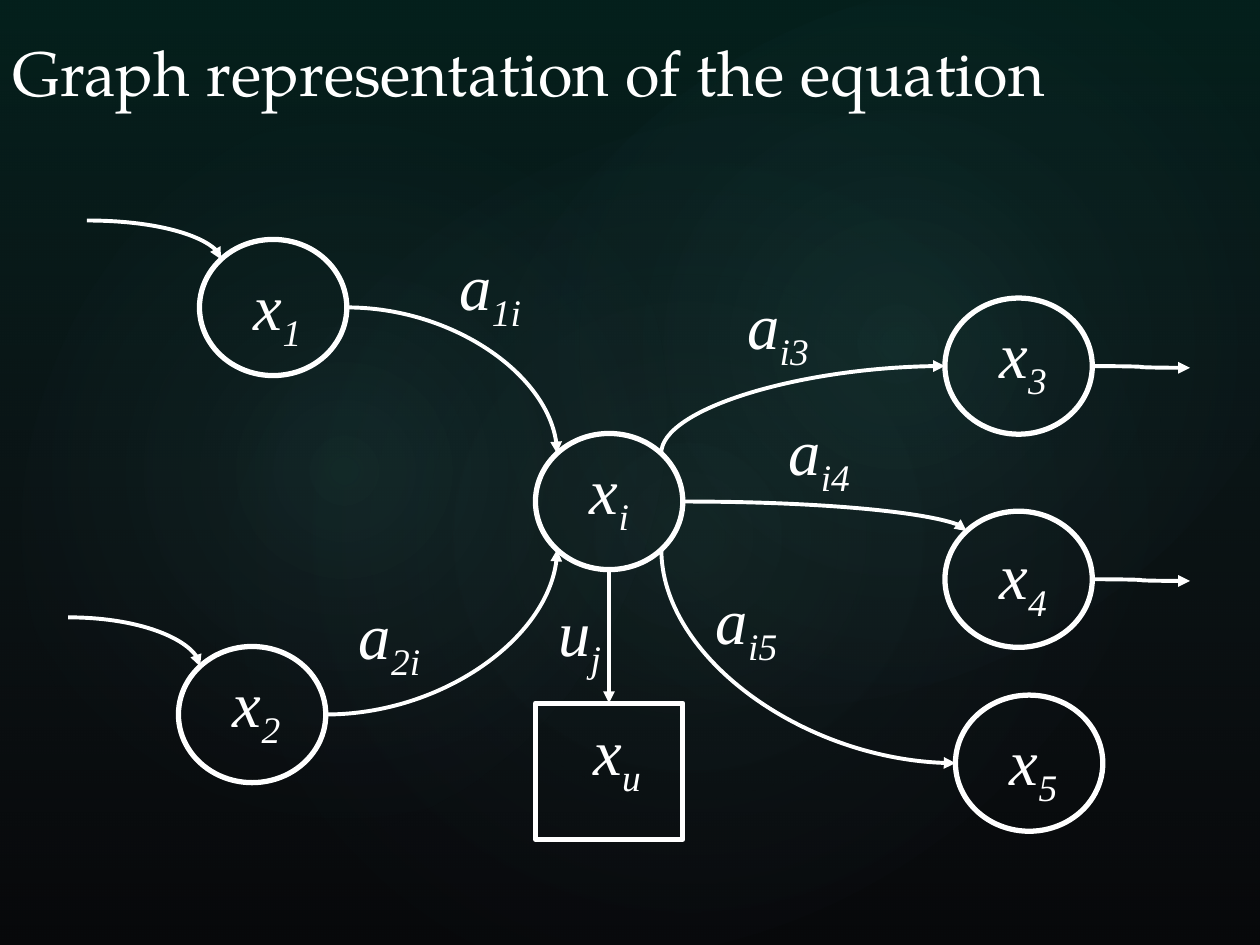
from dataclasses import dataclass
from math import sqrt

from lxml.etree import SubElement
from pptx import Presentation
from pptx.dml.color import RGBColor
from pptx.enum.shapes import MSO_CONNECTOR, MSO_SHAPE
from pptx.enum.text import MSO_ANCHOR, MSO_AUTO_SIZE
from pptx.oxml import parse_xml
from pptx.oxml.ns import nsdecls, qn
from pptx.util import Pt

COLORS = {"back": "000000", "ink": "FFFFFF", "teal": "0D5A4F", "slate": "4E5B6F", "glow": "5FE8D6"}
TITLE_FONT = "TeX Gyre Pagella"
MATH_FONT = "Times New Roman"
WIDE, HIGH = 84.2, 77.8
DIAG = sqrt(0.5)


@dataclass
class Glow:
    left: float
    top: float
    width: float
    height: float
    turn: float
    alpha: int


@dataclass
class Label:
    base: str
    sub: str
    left: float
    top: float
    width: float


@dataclass
class Node:
    left: float
    top: float
    label: Label
    kind: MSO_SHAPE = MSO_SHAPE.OVAL

    def port(self, across: float, down: float) -> tuple[float, float]:
        return self.left + WIDE * (1 + across) / 2, self.top + HIGH * (1 + down) / 2


@dataclass
class Arrow:
    start: tuple[float, float]
    end: tuple[float, float]
    upright: bool = False
    bend: bool = True


def rgb(name: str) -> RGBColor:
    return RGBColor.from_string(COLORS[name])


def add_grad(shape, stops: list, way: str) -> None:
    marks = "".join(
        f'<a:gs pos="{pos * 1000}"><a:srgbClr val="{COLORS[name]}">'
        f'<a:alpha val="{alpha * 1000}"/></a:srgbClr></a:gs>'
        for pos, name, alpha in stops
    )
    grad = parse_xml(f'<a:gradFill {nsdecls("a")} rotWithShape="1"><a:gsLst>{marks}</a:gsLst>{way}</a:gradFill>')
    shape.fill.background()
    blank = shape._element.spPr.find(qn("a:noFill"))
    blank.getparent().replace(blank, grad)
    shape.line.fill.background()
    shape.shadow.inherit = False


def add_back(slide, glows: list[Glow]) -> None:
    slide.background.fill.solid()
    slide.background.fill.fore_color.rgb = rgb("back")
    veil = slide.shapes.add_shape(MSO_SHAPE.RECTANGLE, 0, 0, Pt(720), Pt(540))
    add_grad(veil, [(0, "teal", 36), (100, "slate", 10)], '<a:lin ang="5400000" scaled="0"/>')
    round_way = '<a:path path="circle"><a:fillToRect l="50000" t="50000" r="50000" b="50000"/></a:path>'
    for glow in glows:
        disc = slide.shapes.add_shape(
            MSO_SHAPE.OVAL, Pt(glow.left), Pt(glow.top), Pt(glow.width), Pt(glow.height))
        disc.rotation = glow.turn
        add_grad(disc, [(0, "glow", glow.alpha), (58, "slate", 0), (100, "slate", 0)], round_way)


def add_title(slide, text: str) -> None:
    box = slide.shapes.add_textbox(0, Pt(8.6), Pt(680), Pt(57.6))
    frame = box.text_frame
    frame.word_wrap = True
    frame.vertical_anchor = MSO_ANCHOR.BOTTOM
    frame.text = text
    font = frame.paragraphs[0].runs[0].font
    font.name, font.size = TITLE_FONT, Pt(36)
    font.color.rgb = rgb("ink")


def add_label(slide, label: Label) -> None:
    box = slide.shapes.add_textbox(Pt(label.left), Pt(label.top), Pt(label.width), Pt(51.8))
    frame = box.text_frame
    frame.word_wrap = False
    frame.auto_size = MSO_AUTO_SIZE.SHAPE_TO_FIT_TEXT
    frame.text = label.base
    para = frame.paragraphs[0]
    para.add_run().text = label.sub
    for run in para.runs:
        run.font.name, run.font.size = MATH_FONT, Pt(36.9)
        run.font.italic = True
        run.font.color.rgb = rgb("ink")
    para.runs[1]._r.get_or_add_rPr().set("baseline", "-25000")


def add_node(slide, node: Node) -> None:
    shape = slide.shapes.add_shape(node.kind, Pt(node.left), Pt(node.top), Pt(WIDE), Pt(HIGH))
    shape.fill.background()
    shape.line.color.rgb = rgb("ink")
    shape.line.width = Pt(3)
    shape.shadow.inherit = False
    add_label(slide, node.label)


def add_arrow(slide, arrow: Arrow) -> None:
    (x1, y1), (x2, y2) = arrow.start, arrow.end
    down = y2 > y1
    if arrow.upright:
        mid_x, mid_y = (x1 + x2) / 2, (y1 + y2) / 2
        half_w = abs(y2 - y1) / 2
        half_h = (x2 - x1) / 2 * (1 if down else -1)
        x1, y1, x2, y2 = mid_x + half_w, mid_y - half_h, mid_x - half_w, mid_y + half_h
    line = slide.shapes.add_connector(MSO_CONNECTOR.CURVE, Pt(x1), Pt(y1), Pt(x2), Pt(y2))
    line.line.color.rgb = rgb("ink")
    line.line.width = Pt(2.25)
    props = line._element.spPr
    if arrow.upright:
        props.find(qn("a:xfrm")).set("rot", "16200000" if down else "5400000")
    if arrow.bend:
        props.find(qn("a:prstGeom")).set("prst", "curvedConnector2")
    SubElement(props.find(qn("a:ln")), qn("a:tailEnd"), type="triangle")
    SubElement(props, qn("a:effectLst"))


def main() -> None:
    deck = Presentation()
    deck.slide_width, deck.slide_height = Pt(720), Pt(540)
    slide = deck.slides.add_slide(deck.slide_layouts[6])

    add_back(slide, [
        Glow(108, 82, 570.2, 449.3, 328.7, 7),
        Glow(-21.6, 92.2, 436.3, 352.8, 294.3, 8),
        Glow(257.8, 9.4, 510.5, 374.4, 328.7, 8),
    ])
    add_title(slide, "Graph representation of the equation")

    one = Node(114, 136.8, Label("x", "1", 138, 148.3, 43.2))
    two = Node(102, 369.4, Label("x", "2", 126, 375.1, 43.2))
    hub = Node(306, 247.7, Label("x", "i", 330, 253.4, 38.2))
    three = Node(540, 170.3, Label("x", "3", 564, 175.7, 43.2))
    four = Node(540, 292.1, Label("x", "4", 564, 302.4, 43.2))
    five = Node(546, 397.2, Label("x", "5", 570, 408.2, 43.2))
    sink = Node(306, 401.8, Label("x", "u", 332, 402.5, 43.2), MSO_SHAPE.RECTANGLE)
    for node in (one, two, hub, three, four, five, sink):
        add_node(slide, node)

    arrows = [
        Arrow((49.7, 126), one.port(-DIAG, -DIAG)),
        Arrow((38.9, 352.8), two.port(-DIAG, -DIAG)),
        Arrow(one.port(1, 0), hub.port(-DIAG, -DIAG)),
        Arrow(two.port(1, 0), hub.port(-DIAG, DIAG)),
        Arrow(hub.port(DIAG, -DIAG), three.port(-1, 0), upright=True),
        Arrow(hub.port(1, 0), four.port(-DIAG, -DIAG)),
        Arrow(hub.port(DIAG, DIAG), five.port(-1, 0), upright=True),
        Arrow(hub.port(0, 1), sink.port(0, -1), upright=True, bend=False),
    ]
    for node in (three, four):
        x, y = node.port(1, 0)
        arrows.append(Arrow((x, y), (680, y + 1), bend=False))
    for arrow in arrows:
        add_arrow(slide, arrow)

    for label in (
        Label("a", "1i", 255.6, 136.8, 52.6),
        Label("a", "2i", 198, 336.2, 52.6),
        Label("a", "i3", 420, 159.1, 52.6),
        Label("a", "i4", 443.5, 231.1, 52.6),
        Label("a", "i5", 402, 327.6, 52.6),
        Label("u", "j", 312, 334.8, 40.3),
    ):
        add_label(slide, label)
    deck.save("out.pptx")


if __name__ == "__main__":
    main()
